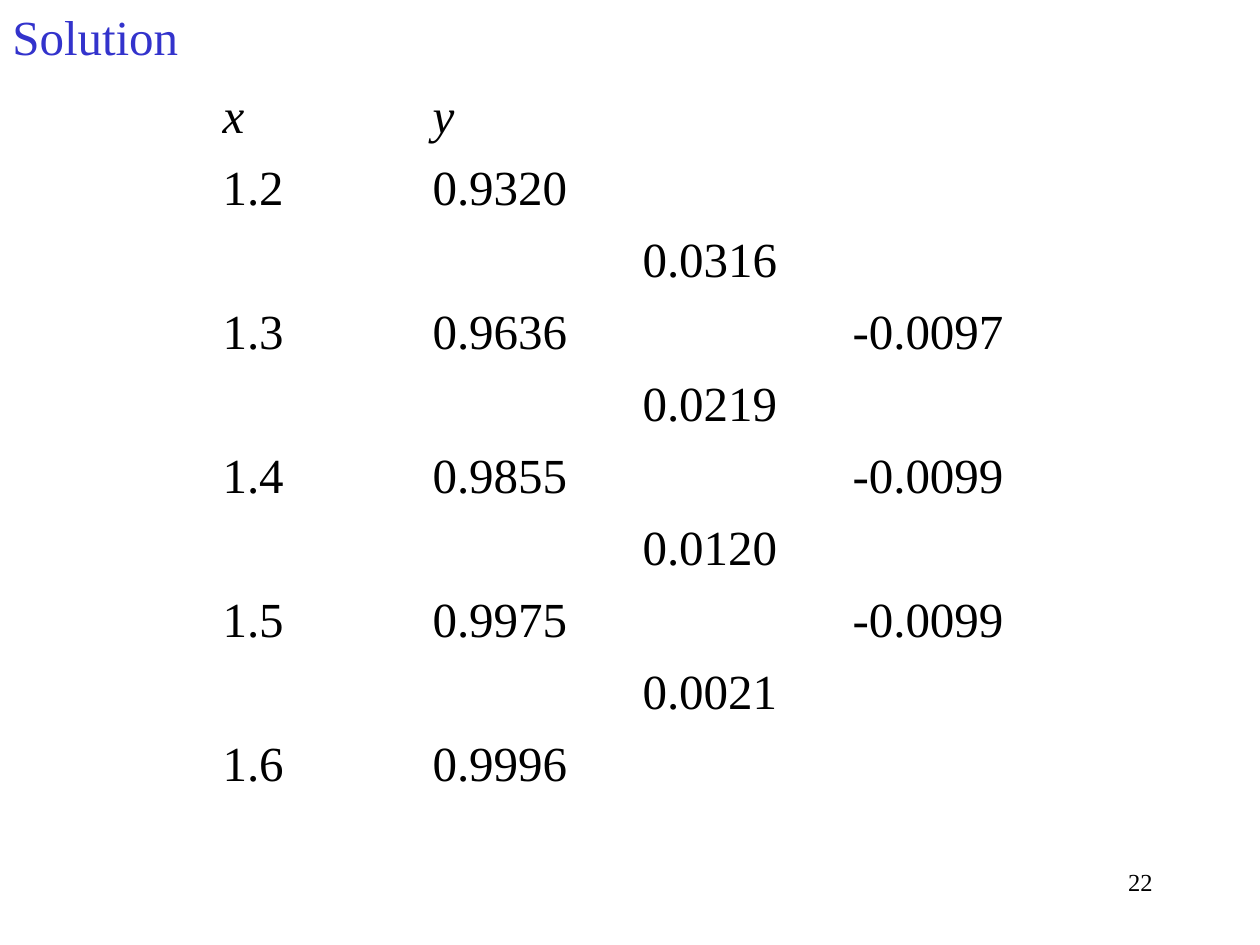
"""Build the slide that shows a table of finite differences."""
from pptx import Presentation
from pptx.dml.color import RGBColor
from pptx.enum.text import PP_ALIGN
from pptx.util import Pt

LEFT = PP_ALIGN.LEFT
RIGHT = PP_ALIGN.RIGHT
JUSTIFY = PP_ALIGN.JUSTIFY
PX = 914400 // 126
FONT = "Times New Roman"
COLORS = {"title": "3333CC", "text": "000000"}
COLUMN_WIDTH, ROW_HEIGHT = 210, 72
ROWS = [
    ("x", "y", "", ""),
    ("1.2", "0.9320", "", ""),
    ("", "", "0.0316", ""),
    ("1.3", "0.9636", "", "-0.0097"),
    ("", "", "0.0219", ""),
    ("1.4", "0.9855", "", "-0.0099"),
    ("", "", "0.0120", ""),
    ("1.5", "0.9975", "", "-0.0099"),
    ("", "", "0.0021", ""),
    ("1.6", "0.9996", "", ""),
]


def write(text_frame, text, size, color, alignment):
    paragraph = text_frame.paragraphs[0]
    paragraph.text = text
    paragraph.alignment = alignment
    paragraph.font.name = FONT
    paragraph.font.size = Pt(size)
    paragraph.font.color.rgb = RGBColor.from_string(COLORS[color])
    return paragraph


def add_text(slide, box, text, size, color, alignment):
    shape = slide.shapes.add_textbox(*(length * PX for length in box))
    shape.text_frame.word_wrap = True
    write(shape.text_frame, text, size, color, alignment)


presentation = Presentation()
presentation.slide_width = 1260 * PX
presentation.slide_height = 945 * PX
slide = presentation.slides.add_slide(presentation.slide_layouts[6])

add_text(slide, (0, 0, 1260, 72), "Solution", 28, "title", JUSTIFY)

table = slide.shapes.add_table(
    len(ROWS), len(ROWS[0]), 210 * PX, 84 * PX,
    len(ROWS[0]) * COLUMN_WIDTH * PX, len(ROWS) * ROW_HEIGHT * PX,
).table
table.first_row = False
table.horz_banding = False
for column in table.columns:
    column.width = COLUMN_WIDTH * PX
for row_index, values in enumerate(ROWS):
    table.rows[row_index].height = ROW_HEIGHT * PX
    for column_index, value in enumerate(values):
        cell = table.cell(row_index, column_index)
        cell.fill.background()
        paragraph = write(cell.text_frame, value, 28, "text", LEFT)
        paragraph.font.italic = row_index == 0

add_text(slide, (903, 861, 262, 63), "22", 14, "text", RIGHT)

presentation.save("out.pptx")
